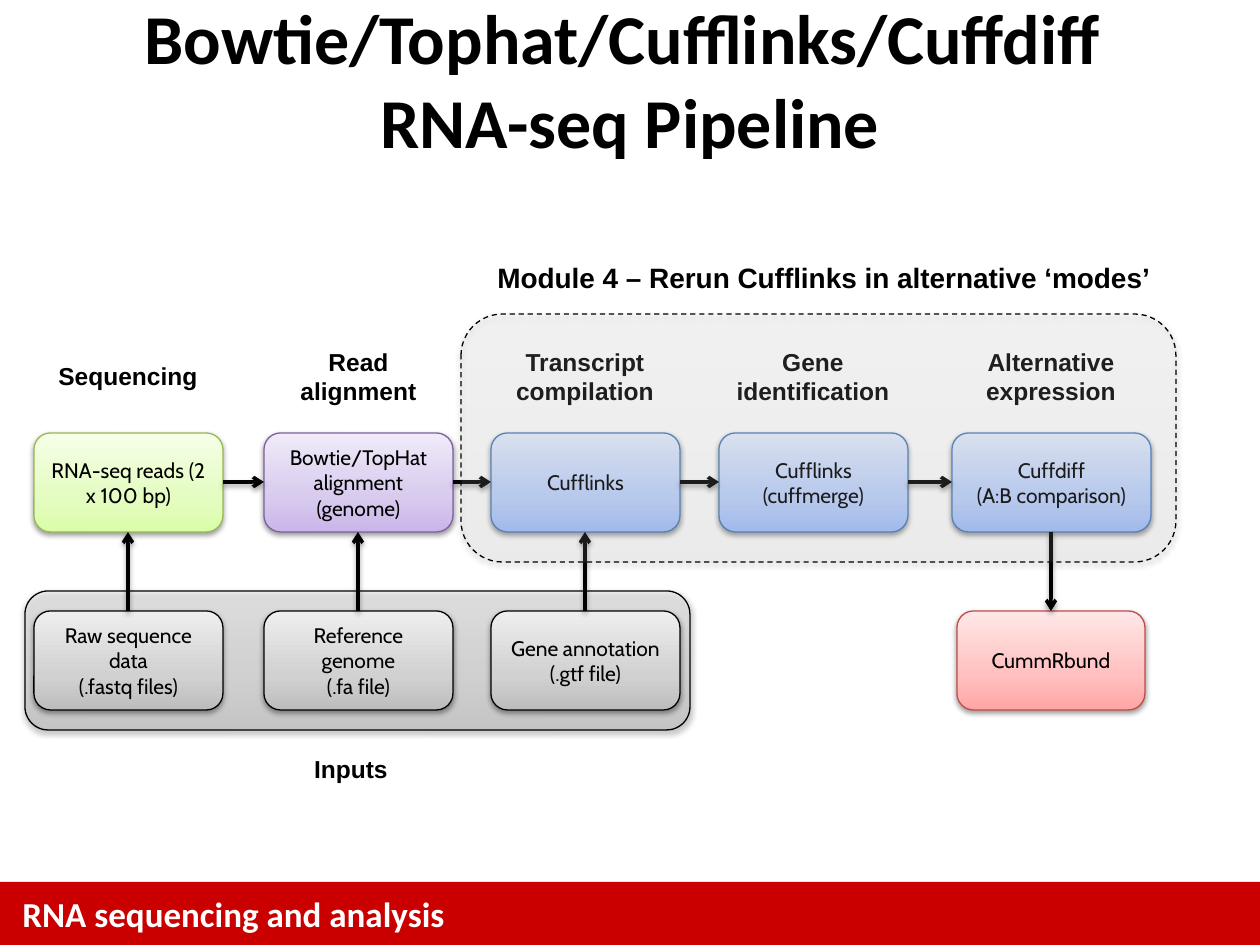
from dataclasses import dataclass
from typing import Optional

from lxml.etree import SubElement
from pptx import Presentation
from pptx.dml.color import RGBColor
from pptx.enum.dml import MSO_LINE
from pptx.enum.shapes import MSO_CONNECTOR, MSO_SHAPE
from pptx.enum.text import MSO_ANCHOR, PP_ALIGN
from pptx.oxml.ns import qn
from pptx.util import Pt

EMU_PER_PX = 914400 / 126


@dataclass(frozen=True)
class Palette:
    stops: tuple[str, str, str]  # bottom, 35 %, top
    line: str


@dataclass(frozen=True)
class Theme:
    text: str = "000000"
    footer: str = "CA0000"
    footer_text: str = "FFFFFF"
    green: Palette = Palette(("DAFDA7", "E4FCC2", "F5FFE7"), "98B955")
    purple: Palette = Palette(("C9B5E8", "D8CBEE", "F0EAF9"), "7D60A0")
    blue: Palette = Palette(("A4C4FF", "BFD4FF", "E6EEFF"), "4B7EBC")
    red: Palette = Palette(("FFA6A5", "FFC0BF", "FFE7E7"), "BF4C48")
    grey: Palette = Palette(("BDBDBD", "D1D1D1", "EEEEEE"), "000000")
    title_font: str = "Calibri"
    label_font: str = "Arial"
    box_font: str = "Cabin"
    title_size: int = 40
    footer_size: int = 20
    module_size: int = 16
    label_size: int = 14
    box_size: int = 12


THEME = Theme()


@dataclass(frozen=True)
class Area:
    left: int
    top: int
    width: int
    height: int

    @property
    def center(self) -> int:
        return self.left + self.width // 2

    @property
    def middle(self) -> int:
        return self.top + self.height // 2

    @property
    def right(self) -> int:
        return self.left + self.width

    @property
    def bottom(self) -> int:
        return self.top + self.height

    def emu(self) -> tuple[int, ...]:
        return tuple(px(v) for v in (self.left, self.top, self.width, self.height))


@dataclass(frozen=True)
class Stage:
    heading: str
    text: str
    left: int
    width: int
    palette: Palette
    heading_width: int = 228
    input_text: Optional[str] = None


BOX_HEIGHT, STAGE_TOP, SECOND_ROW_TOP = 99, 433, 611
HEADING_TOP, HEADING_HEIGHT = 340, 72

STAGES = (
    Stage("Sequencing", "RNA-seq reads (2 x 100 bp)", 34, 189, THEME.green,
          input_text="Raw sequence data\n(.fastq files)"),
    Stage("Read alignment", "Bowtie/TopHat alignment (genome)", 264, 189, THEME.purple,
          heading_width=171, input_text="Reference genome\n(.fa file)"),
    Stage("Transcript compilation", "Cufflinks", 491, 189, THEME.blue,
          input_text="Gene annotation\n(.gtf file)"),
    Stage("Gene identification", "Cufflinks (cuffmerge)", 719, 189, THEME.blue),
    Stage("Alternative expression", "Cuffdiff\n(A:B comparison)", 952, 199, THEME.blue),
)


def px(value: int) -> int:
    return round(value * EMU_PER_PX)


def write_text(shape, text: str, *, font: str = THEME.label_font,
               size: int = THEME.label_size, bold: bool = False,
               color: str = THEME.text, align=PP_ALIGN.CENTER,
               anchor=MSO_ANCHOR.MIDDLE) -> None:
    """Newlines start paragraphs, vertical tabs break lines."""
    frame = shape.text_frame
    frame.word_wrap = True
    frame.vertical_anchor = anchor
    for index, content in enumerate(text.split("\n")):
        paragraph = frame.add_paragraph() if index else frame.paragraphs[0]
        paragraph.alignment = align
        for line_index, line in enumerate(content.split("\v")):
            if line_index:
                paragraph.add_line_break()
            run = paragraph.add_run()
            run.text = line
            run.font.name, run.font.size, run.font.bold = font, Pt(size), bold
            run.font.color.rgb = RGBColor.from_string(color)


def add_text(slide, area: Area, text: str, **text_format) -> None:
    write_text(slide.shapes.add_textbox(*area.emu()), text, **text_format)


def add_shadow(shape) -> None:
    properties = shape._element.spPr
    effects = properties.find(qn("a:effectLst"))
    if effects is None:
        effects = SubElement(properties, qn("a:effectLst"))
    shadow = SubElement(effects, qn("a:outerShdw"), blurRad=str(Pt(3.1)),
                        dist=str(Pt(1.6)), dir="5400000", rotWithShape="0")
    color = SubElement(shadow, qn("a:srgbClr"), val="000000")
    SubElement(color, qn("a:alpha"), val="38000")


def add_panel(slide, area: Area, palette: Palette, opacity: int = 100):
    """Rounded rectangle with a bottom-to-top gradient and a soft shadow."""
    shape = slide.shapes.add_shape(MSO_SHAPE.ROUNDED_RECTANGLE, *area.emu())
    shape.fill.gradient()
    shape.fill.gradient_angle = 90
    stop_list = shape._element.spPr.find(qn("a:gradFill")).find(qn("a:gsLst"))
    for stop in list(stop_list):
        stop_list.remove(stop)
    for position, value in zip((0, 35, 100), palette.stops):
        stop = SubElement(stop_list, qn("a:gs"), pos=str(position * 1000))
        color = SubElement(stop, qn("a:srgbClr"), val=value)
        if opacity < 100:
            SubElement(color, qn("a:alpha"), val=str(opacity * 1000))
    shape.line.color.rgb = RGBColor.from_string(palette.line)
    shape.line.width = Pt(0.75)
    shape.shadow.inherit = False
    add_shadow(shape)
    return shape


def add_box(slide, area: Area, text: str, palette: Palette) -> None:
    write_text(add_panel(slide, area, palette), text,
               font=THEME.box_font, size=THEME.box_size)


def add_arrow(slide, start: tuple[int, int], end: tuple[int, int]) -> None:
    points = (px(value) for value in (*start, *end))
    arrow = slide.shapes.add_connector(MSO_CONNECTOR.STRAIGHT, *points)
    arrow.line.color.rgb = RGBColor.from_string(THEME.text)
    arrow.line.width = Pt(2)
    SubElement(arrow.line._get_or_add_ln(), qn("a:tailEnd"), type="arrow")
    add_shadow(arrow)


def add_footer(slide) -> None:
    bar = slide.shapes.add_shape(MSO_SHAPE.RECTANGLE, *Area(0, 882, 1260, 63).emu())
    bar.fill.solid()
    bar.fill.fore_color.rgb = RGBColor.from_string(THEME.footer)
    bar.line.fill.background()
    bar.shadow.inherit = False
    add_text(slide, Area(10, 886, 924, 54), "RNA sequencing and analysis",
             font=THEME.title_font, size=THEME.footer_size, bold=True,
             color=THEME.footer_text, align=PP_ALIGN.LEFT, anchor=MSO_ANCHOR.TOP)


def add_pipeline(slide) -> None:
    # Stages with their headings
    areas = [Area(stage.left, STAGE_TOP, stage.width, BOX_HEIGHT) for stage in STAGES]
    for stage, area in zip(STAGES, areas):
        add_box(slide, area, stage.text, stage.palette)
        heading = Area(area.center - stage.heading_width // 2, HEADING_TOP,
                       stage.heading_width, HEADING_HEIGHT)
        add_text(slide, heading, stage.heading, bold=True)

    # Arrows from stage to stage
    for area, following in zip(areas, areas[1:]):
        add_arrow(slide, (area.right, area.middle), (following.left, area.middle))

    # Input files feeding the first stages
    for stage, area in zip(STAGES, areas):
        if stage.input_text:
            source = Area(area.left, SECOND_ROW_TOP, area.width, BOX_HEIGHT)
            add_box(slide, source, stage.input_text, THEME.grey)
            add_arrow(slide, (area.center, source.top), (area.center, area.bottom))

    # Result of the last stage
    last = areas[-1]
    result = Area(last.center - 94, SECOND_ROW_TOP, 188, BOX_HEIGHT)
    add_box(slide, result, "CummRbund", THEME.red)
    add_arrow(slide, (last.center, last.bottom), (last.center, result.top))


def main() -> None:
    presentation = Presentation()
    presentation.slide_width, presentation.slide_height = px(1260), px(945)
    slide = presentation.slides.add_slide(presentation.slide_layouts[6])

    # Footer and titles
    add_footer(slide)
    add_text(slide, Area(21, 0, 1218, 157),
             "Bowtie/Tophat/Cufflinks/Cuffdiff \vRNA-seq Pipeline",
             font=THEME.title_font, size=THEME.title_size, bold=True)
    add_text(slide, Area(474, 254, 700, 47),
             "Module 4 – Rerun Cufflinks in alternative ‘modes’",
             size=THEME.module_size, bold=True)

    # Inputs panel behind the boxes, module frame over them
    add_panel(slide, Area(25, 591, 665, 139), THEME.grey, opacity=51)
    add_pipeline(slide)
    add_text(slide, Area(301, 747, 100, 43), "Inputs", bold=True)
    module_frame = add_panel(slide, Area(461, 314, 715, 248), THEME.grey, opacity=13)
    module_frame.line.dash_style = MSO_LINE.DASH

    presentation.save("out.pptx")


if __name__ == "__main__":
    main()
